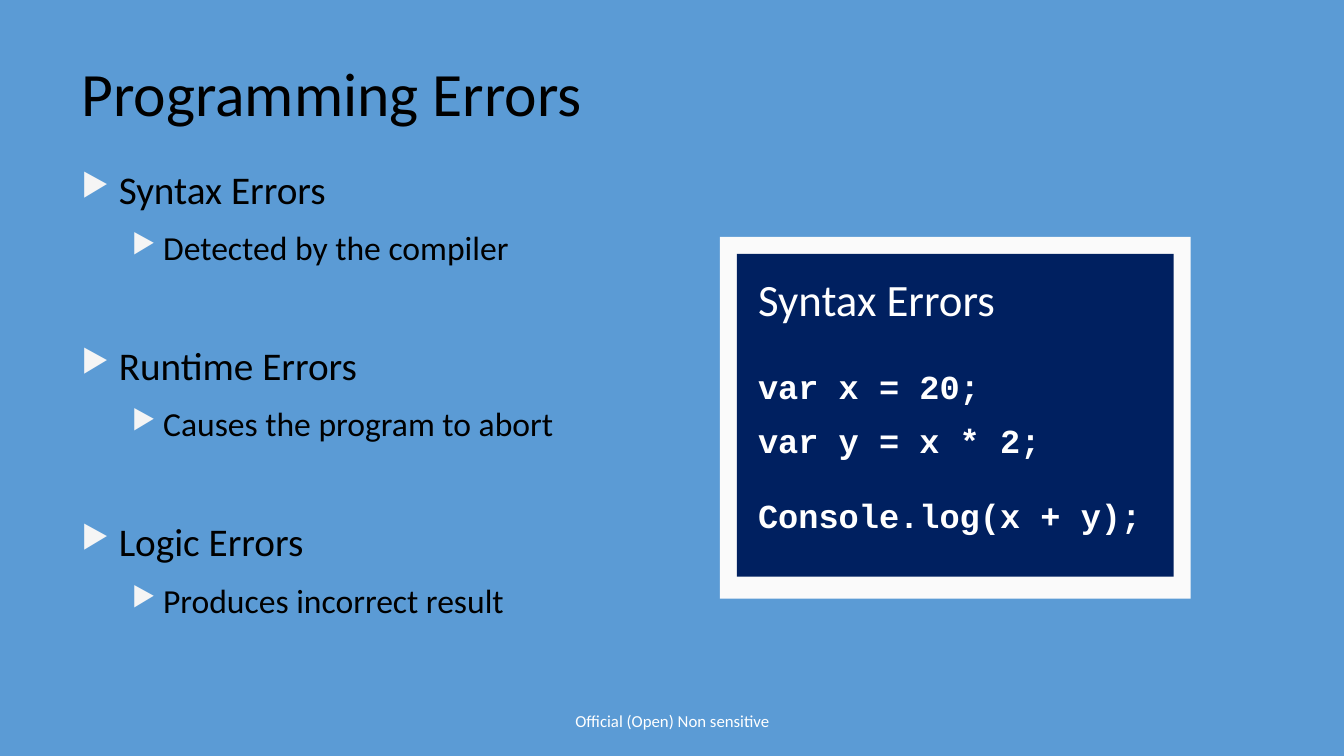
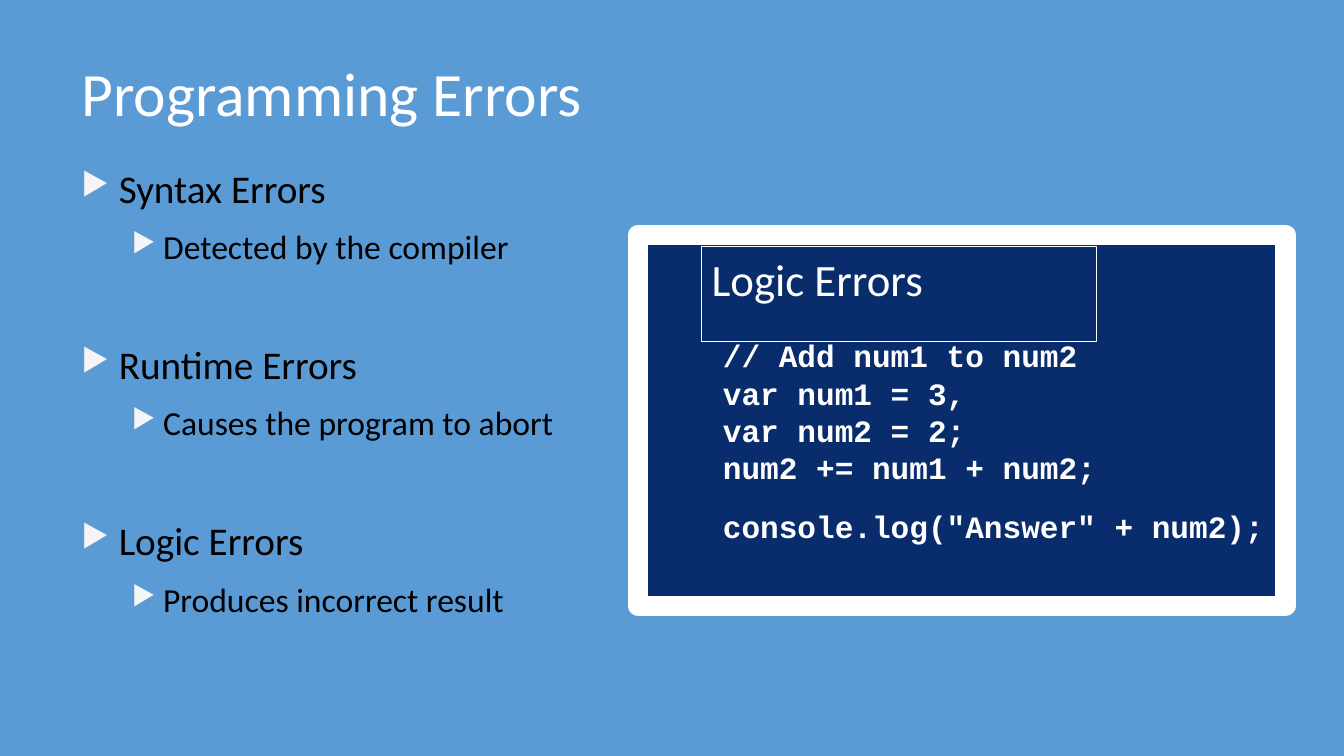
from dataclasses import dataclass
from typing import NamedTuple

from pptx import Presentation
from pptx.dml.color import RGBColor as RGB
from pptx.enum.shapes import MSO_SHAPE as Shape
from pptx.enum.text import MSO_ANCHOR as Anchor, PP_ALIGN as Align
from pptx.oxml.ns import qn
from pptx.util import Inches, Pt
from lxml.etree import SubElement


@dataclass(frozen=True)
class Theme:
    back: str = "5B9BD5"
    navy: str = "002060"
    pale: str = "FAFAFA"
    white: str = "FFFFFF"
    black: str = "000000"
    mark: str = "F5F5F5"
    sans: str = "Calibri"
    mono: str = "Courier New"
    title: float = 44
    head: float = 32
    item: float = 28
    sub: float = 24
    code: float = 24
    small: float = 22.2
    foot: float = 12


T = Theme()


class Box(NamedTuple):
    left: float
    top: float
    width: float
    height: float

    def lengths(self) -> list:
        return [Inches(v) for v in self]


class Style(NamedTuple):
    size: float
    color: str
    font: str = T.sans
    bold: bool = False


class Line(NamedTuple):
    text: str
    gap: float = 0


class Error(NamedTuple):
    name: str
    effect: str


ERRORS = [
    Error("Syntax Errors", "Detected by the compiler"),
    Error("Runtime Errors", "Causes the program to abort"),
    Error("Logic Errors", "Produces incorrect result"),
]
SUM = [
    Line("var x = 20;"),
    Line("var y = x * 2;", 10),
    Line("Console.log(x + y);", 24.5),
]
ANSWER = [
    Line("// Add num1 to num2"),
    Line("var num1 = 3,"),
    Line("var num2 = 2;"),
    Line("num2 += num1 + num2;"),
    Line('console.log("Answer" + num2);', 15.5),
]


def style(para, look: Style) -> None:
    for run in para.runs:
        font = run.font
        font.size, font.name, font.bold = Pt(look.size), look.font, look.bold
        font.color.rgb = RGB.from_string(look.color)


def write(shape, lines: list[Line], look: Style, align=Align.LEFT) -> None:
    frame = shape.text_frame
    frame.word_wrap = True
    frame.text = "\n".join(line.text for line in lines)
    for para, line in zip(frame.paragraphs, lines):
        para.alignment = align
        para.space_before = Pt(line.gap)
        style(para, look)


def label(slide, box: Box, lines: list[Line], look: Style, align=Align.LEFT):
    shape = slide.shapes.add_textbox(*box.lengths())
    write(shape, lines, look, align)
    return shape


def panel(slide, box: Box, fill: str = "", edge: str = "", width: float = 0):
    """Draw a rectangle; an empty colour leaves out its fill or edge."""
    shape = slide.shapes.add_shape(Shape.RECTANGLE, *box.lengths())
    shape.shadow.inherit = False
    if fill:
        shape.fill.solid()
        shape.fill.fore_color.rgb = RGB.from_string(fill)
    else:
        shape.fill.background()
    if edge:
        shape.line.color.rgb = RGB.from_string(edge)
        shape.line.width = Pt(width)
    else:
        shape.line.fill.background()
    shape.text_frame.vertical_anchor = Anchor.TOP
    return shape


def fade(shape, percent: int) -> None:
    """Set the opacity of a solid fill."""
    color = shape.element.spPr.find(qn("a:solidFill")).find(qn("a:srgbClr"))
    SubElement(color, qn("a:alpha")).set("val", str(percent * 1000))


def bullet(para, left: float, hang: float) -> None:
    props = para._p.get_or_add_pPr()
    props.set("marL", str(Inches(left)))
    props.set("indent", str(-Inches(hang)))
    color = SubElement(props, qn("a:buClr"))
    SubElement(color, qn("a:srgbClr")).set("val", T.mark)
    SubElement(props, qn("a:buSzPct")).set("val", "80000")
    SubElement(props, qn("a:buChar")).set("char", "▶")


def outline(slide, top: float) -> None:
    """List each kind of error with its effect below it."""
    lines = []
    for i, error in enumerate(ERRORS):
        lines += [Line(error.name, 53 if i else 0), Line(error.effect, 10.5)]
    box = Box(0.71, top, 5.5, 4.6)
    shape = label(slide, box, lines, Style(T.item, T.black))
    for i, para in enumerate(shape.text_frame.paragraphs):
        if i % 2:
            para.level = 1
            bullet(para, 0.81, 0.31)
            style(para, Style(T.sub, T.black))
        else:
            bullet(para, 0.37, 0.37)


def start(deck, color: str):
    """Add a slide with its background and title."""
    slide = deck.slides.add_slide(deck.slide_layouts[6])
    slide.background.fill.solid()
    slide.background.fill.fore_color.rgb = RGB.from_string(T.back)
    label(slide, Box(0.71, 0.5, 10.29, 1), [Line("Programming Errors")],
          Style(T.title, color))
    return slide


def syntax(deck) -> None:
    slide = start(deck, T.black)
    outline(slide, 1.59)
    panel(slide, Box(7.14, 2.35, 4.67, 3.59), T.pale)
    panel(slide, Box(7.31, 2.52, 4.33, 3.2), T.navy)
    label(slide, Box(7.42, 2.65, 3.92, 0.94), [Line("Syntax Errors")],
          Style(T.head, T.white))
    label(slide, Box(7.42, 3.58, 4.06, 2), SUM,
          Style(T.code, T.white, T.mono, True))
    foot = label(slide, Box(4.42, 6.95, 4.5, 0.4),
                 [Line("Official (Open) Non sensitive")],
                 Style(T.foot, T.white), Align.CENTER)
    foot.text_frame.vertical_anchor = Anchor.MIDDLE


def logic(deck) -> None:
    slide = start(deck, T.white)
    board = panel(slide, Box(6.33, 2.33, 6.42, 3.68), T.navy, T.white, 14.5)
    fade(board, 89)
    frame = board.text_frame
    frame.margin_left, frame.margin_top = Inches(0.84), Inches(1.01)
    frame.margin_right = 0
    write(board, ANSWER, Style(T.small, T.white, T.mono, True))
    head = panel(slide, Box(6.96, 2.45, 3.92, 0.94), edge=T.white, width=0.75)
    write(head, [Line("Logic Errors")], Style(T.head, T.white))
    outline(slide, 1.58)


def main() -> None:
    deck = Presentation()
    deck.slide_width, deck.slide_height = Inches(13.33), Inches(7.5)
    syntax(deck)
    logic(deck)
    deck.save("out.pptx")


if __name__ == "__main__":
    main()
